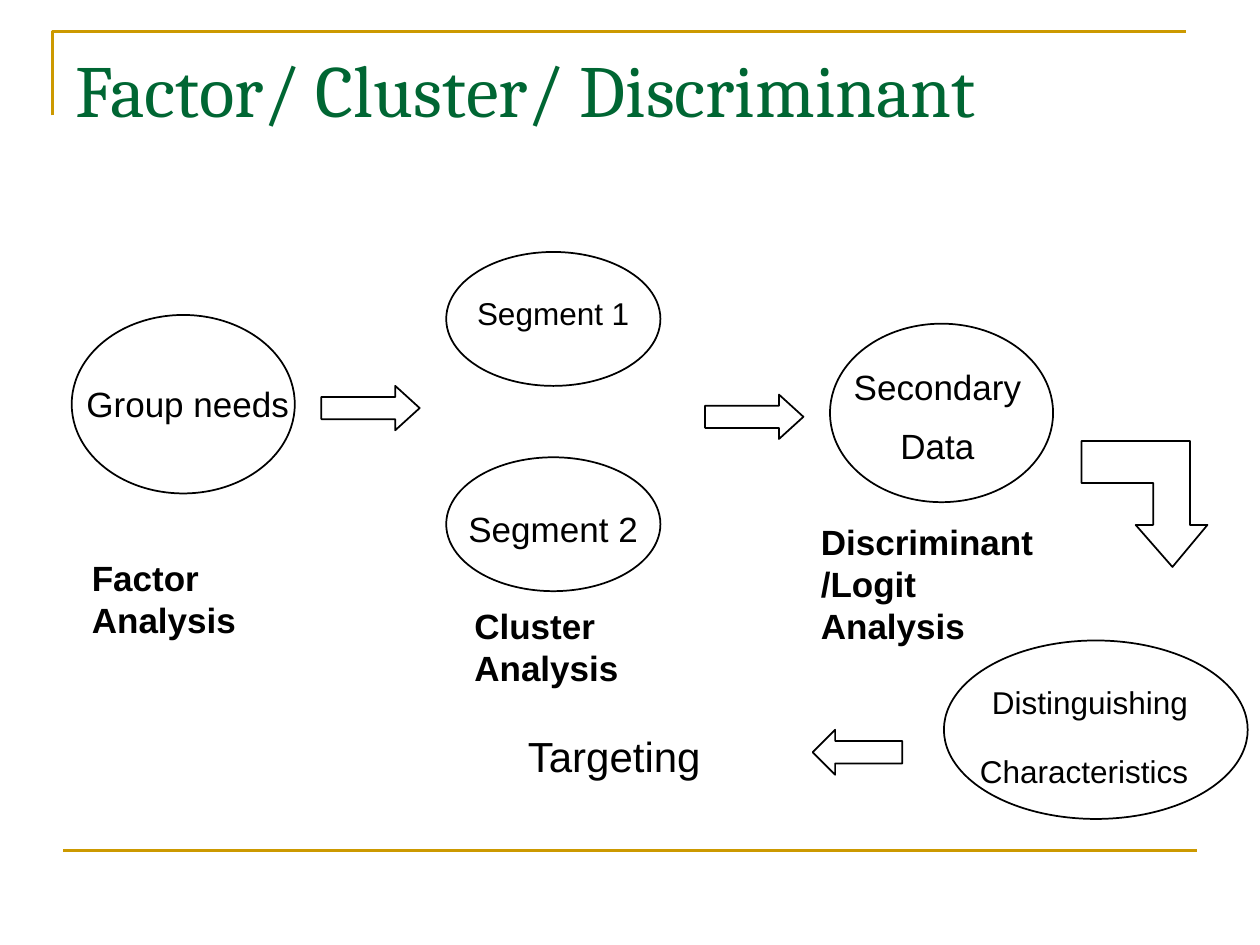
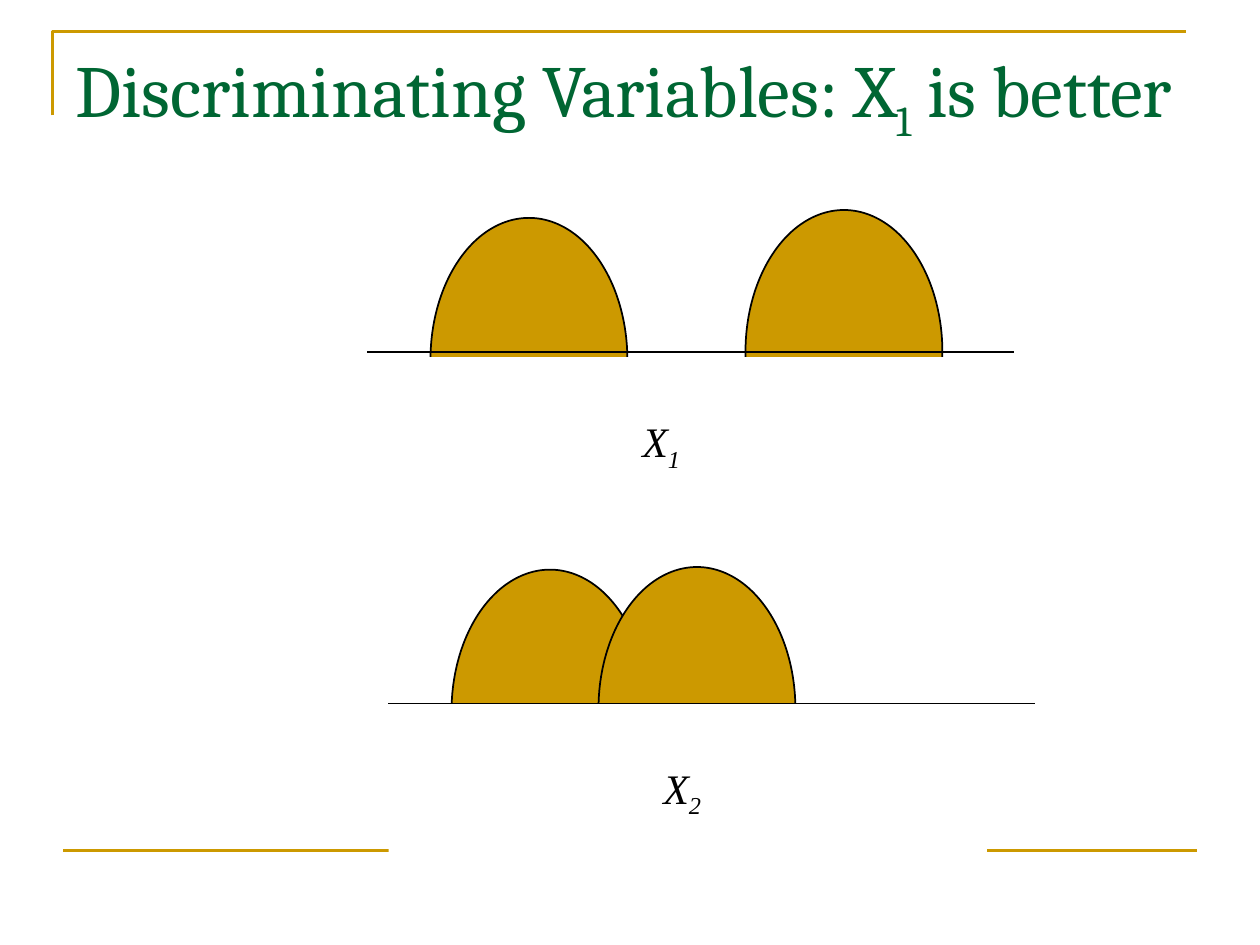
"""Build two slides on factor, cluster and discriminant analysis."""
from lxml import etree
from pptx import Presentation
from pptx.dml.color import RGBColor
from pptx.enum.shapes import MSO_CONNECTOR, MSO_SHAPE
from pptx.enum.text import MSO_ANCHOR, MSO_AUTO_SIZE, PP_ALIGN
from pptx.oxml.ns import qn
from pptx.util import Pt

GOLD = RGBColor(0xCC, 0x99, 0x00)
GREEN = RGBColor(0x00, 0x66, 0x33)
BLACK = RGBColor(0, 0, 0)
WHITE = RGBColor(255, 255, 255)
SUBSCRIPT = "-25000"


class Deck:
    title_font, body_font, math_font = "Cambria", "Arial", "Times New Roman"

    def __init__(self):
        self.prs = Presentation()
        self.prs.slide_width, self.prs.slide_height = Pt(720), Pt(540)
        self.slide = None

    def start(self, *title):
        self.slide = self.prs.slides.add_slide(self.prs.slide_layouts[5])
        self.outline([(30, 66), (30, 18), (678, 18)], GOLD, 1.5, closed=False)
        self.line(36, 684, 486, GOLD, 1.5)
        box = self.slide.shapes.title
        box.left, box.top, box.width, box.height = Pt(36), Pt(21.6), Pt(648), Pt(90)
        frame = box.text_frame
        frame.word_wrap, frame.auto_size = True, MSO_AUTO_SIZE.NONE
        frame.vertical_anchor = MSO_ANCHOR.TOP
        frame.paragraphs[0].alignment = PP_ALIGN.LEFT
        for index, part in enumerate(title):
            self.run(frame.paragraphs[0], part, 42, self.title_font, GREEN, sub=index == 1)

    def run(self, paragraph, words, size, font, color=BLACK, bold=False, italic=False, sub=False):
        run = paragraph.add_run()
        run.text = words
        run.font.size, run.font.name = Pt(size), font
        run.font.bold, run.font.italic = bold, italic
        run.font.color.rgb = color
        if sub:
            run.font._element.set("baseline", SUBSCRIPT)

    def paint(self, shape, fill, line, weight=1):
        shape.shadow.inherit = False
        if fill is None:
            shape.fill.background()
        else:
            shape.fill.solid()
            shape.fill.fore_color.rgb = fill
        if line is None:
            shape.line.fill.background()
        else:
            shape.line.color.rgb = line
            shape.line.width = Pt(weight)

    def shape(self, kind, left, top, width, height, fill=None, line=BLACK):
        shape = self.slide.shapes.add_shape(kind, Pt(left), Pt(top), Pt(width), Pt(height))
        self.paint(shape, fill, line)
        return shape

    def ellipse(self, *box, fill=None):
        self.shape(MSO_SHAPE.OVAL, *box, fill=fill)

    def arrow(self, kind, *box, head=0.55):
        self.shape(kind, *box).adjustments[1] = head

    def cover(self, *box):
        self.shape(MSO_SHAPE.RECTANGLE, *box, fill=WHITE, line=None)

    def outline(self, points, color=BLACK, weight=1, closed=True):
        builder = self.slide.shapes.build_freeform(*points[0], scale=12700)
        builder.add_line_segments(points[1:], close=closed)
        self.paint(builder.convert_to_shape(), None, color, weight)

    def line(self, left, right, y, color=BLACK, weight=1):
        line = self.slide.shapes.add_connector(
            MSO_CONNECTOR.STRAIGHT, Pt(left), Pt(y), Pt(right), Pt(y))
        line.line.color.rgb, line.line.width = color, Pt(weight)
        etree.SubElement(line._element.spPr, qn("a:effectLst"))

    def frame(self, left, top, width, height):
        box = self.slide.shapes.add_textbox(Pt(left), Pt(top), Pt(width), Pt(height))
        box.text_frame.word_wrap = True
        return box.text_frame

    def label(self, box, *lines, size=20, gap=10, bold=False):
        frame = self.frame(*box)
        for index, words in enumerate(lines):
            paragraph = frame.add_paragraph() if index else frame.paragraphs[0]
            paragraph.alignment = PP_ALIGN.LEFT if bold else PP_ALIGN.CENTER
            paragraph.space_before = Pt(gap if index else 0)
            self.run(paragraph, words, size, self.body_font, bold=bold)
        return frame

    def variable(self, left, top, index):
        paragraph = self.frame(left, top, 72, 36).paragraphs[0]
        self.run(paragraph, "X", 24, self.math_font, italic=True)
        self.run(paragraph, index, 24, self.math_font, italic=True, sub=True)


def analysis_flow(deck):
    deck.start("Factor/ Cluster/ Discriminant")
    deck.ellipse(41, 180, 127.5, 102)
    deck.label((36, 215.3, 142.6, 31.7), "Group needs")
    for left, top in ((183.6, 220.5), (402.9, 225.5)):
        deck.arrow(MSO_SHAPE.RIGHT_ARROW, left, top, 56.2, 25.4)
    for name, top, text_top, size in (("Segment 1", 144, 164.2, 18),
                                      ("Segment 2", 261.3, 286.6, 20)):
        deck.ellipse(255, top, 122.4, 76.5)
        deck.label((244.8, text_top, 142.6, 30), name, size=size)
    deck.ellipse(474.3, 185, 127.5, 102)
    deck.label((464.4, 205.2, 142.6, 67), "Secondary", "Data")
    deck.ellipse(539.4, 366, 173.6, 102)
    traits = deck.label((525.6, 386.6, 194.4, 72), "Distinguishing", "Characteristics",
                        size=18, gap=12)
    deck.run(traits.paragraphs[1], " ", 24, deck.body_font)
    deck.arrow(MSO_SHAPE.LEFT_ARROW, 464.4, 417, 51.2, 25.7, head=0.5)
    deck.outline([(669.5, 324), (648.8, 300), (659, 300), (659, 276), (618, 276),
                  (618, 252), (679.8, 252), (679.8, 300), (690, 300)])
    deck.label((264, 414, 174, 36), "Targeting", size=24)
    for name, left, top, height in (("Factor Analysis", 45.4, 314.6, 55.4),
                                    ("Cluster Analysis", 264, 342, 55.4),
                                    ("Discriminant/Logit Analysis", 462, 294, 79.2)):
        deck.label((left, top, 138, height), name, bold=True)


def variable_comparison(deck):
    deck.start("Discriminating Variables: X", "1", " is better")
    for left, top in ((246, 124.5), (426, 120)):
        deck.ellipse(left, top, 112.5, 162, fill=GOLD)
    deck.line(210, 579.6, 201)
    for left, top in ((258, 325.5), (342, 324)):
        deck.ellipse(left, top, 112.5, 162, fill=GOLD)
    deck.line(222, 591.6, 402)
    deck.cover(132, 204, 522, 96)
    deck.cover(222, 402, 342, 90)
    deck.line(222, 585.6, 402)
    deck.variable(360, 234, "1")
    deck.variable(372, 432, "2")


deck = Deck()
analysis_flow(deck)
variable_comparison(deck)
deck.prs.save("out.pptx")
